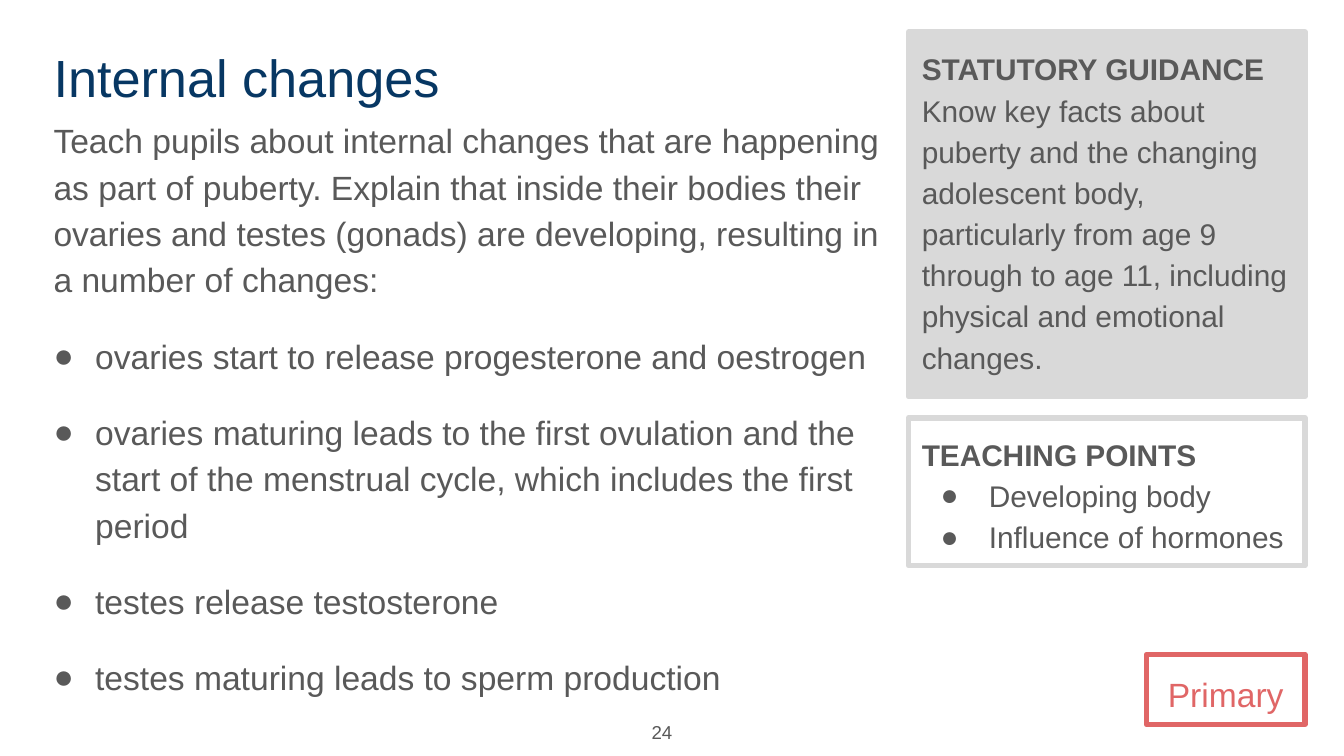
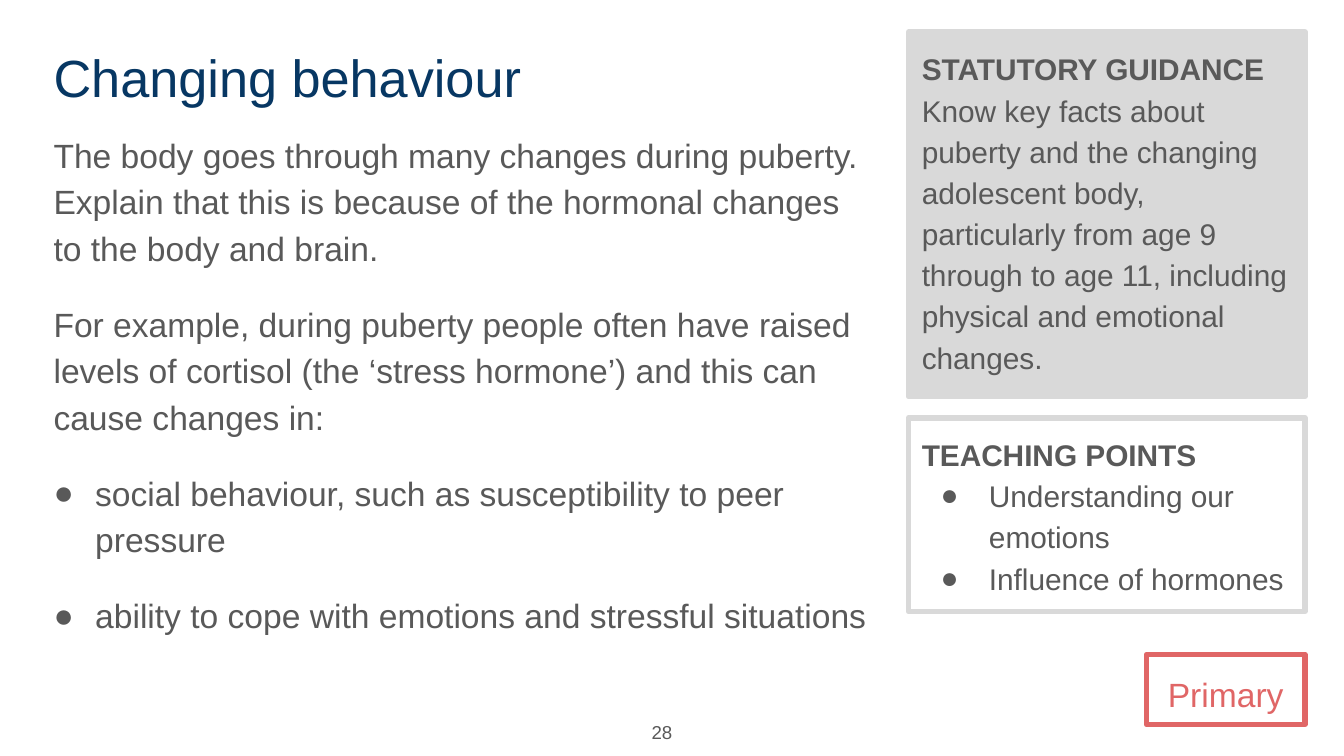
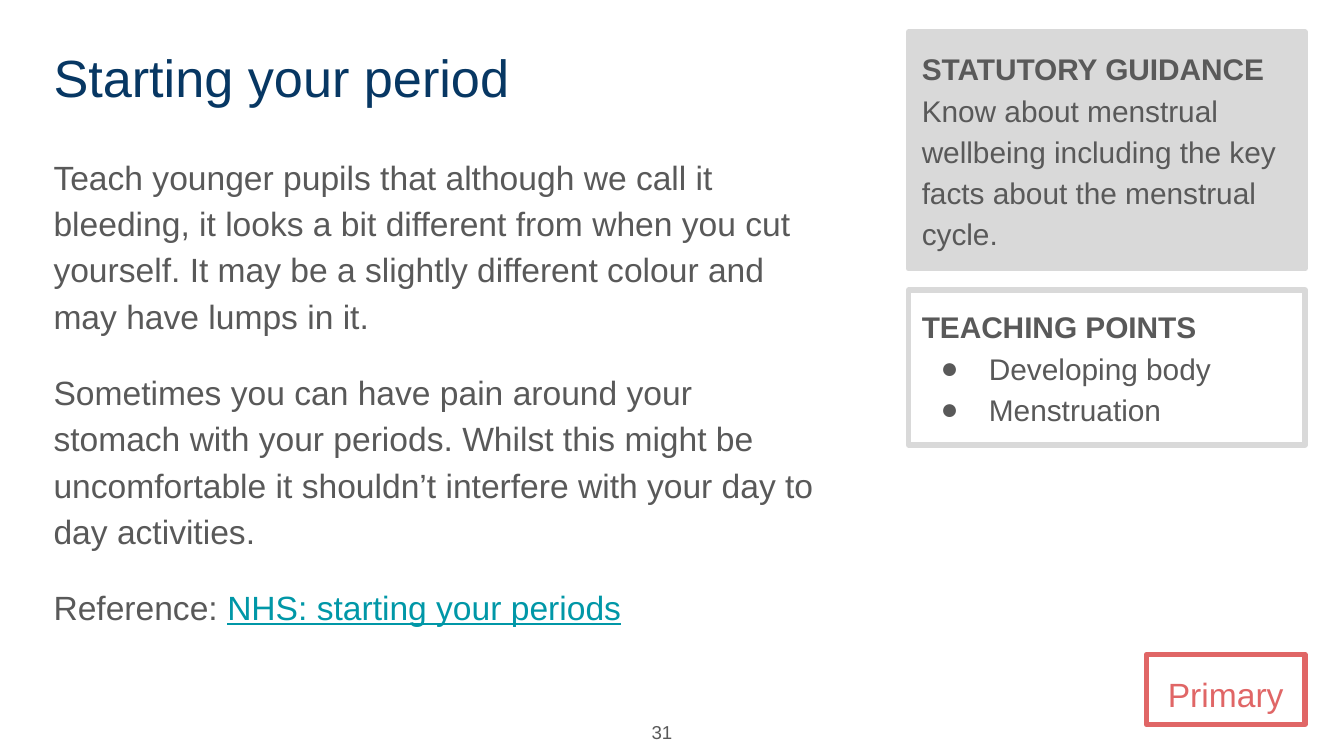
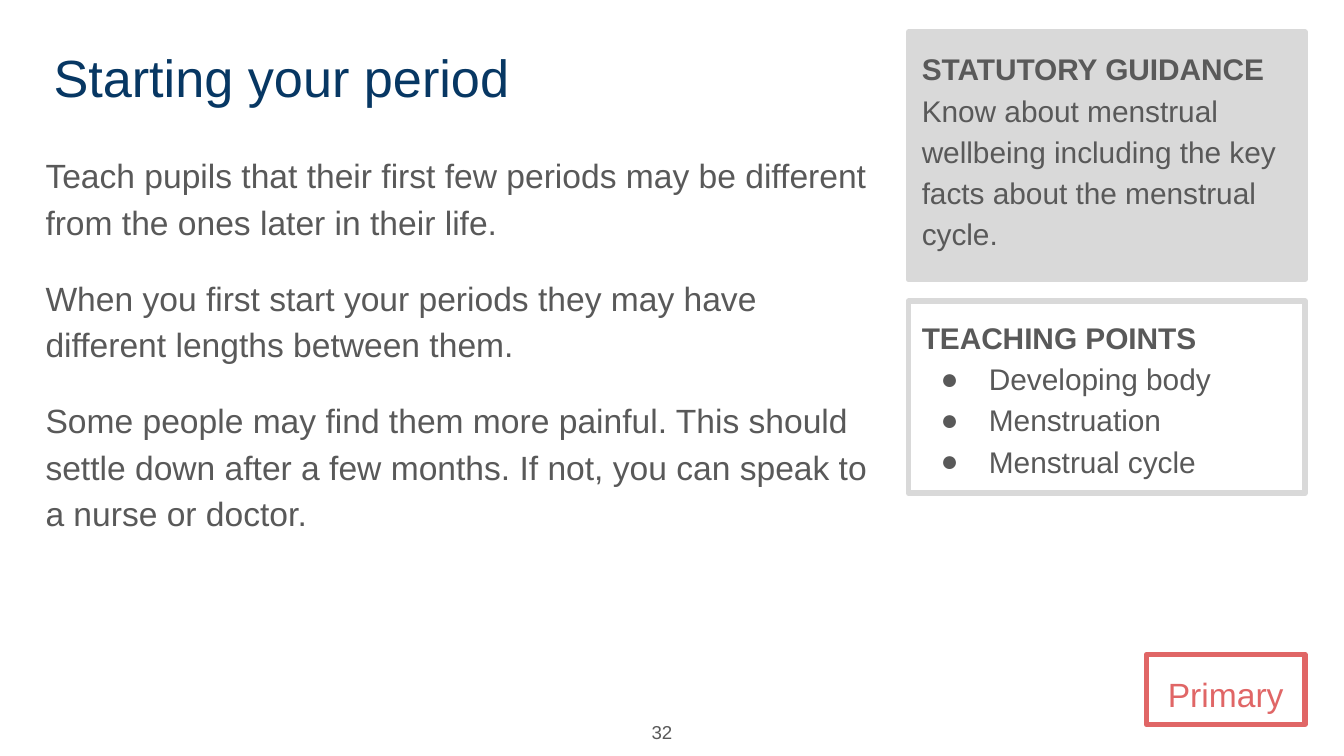
from lxml.etree import SubElement
from pptx import Presentation
from pptx.dml.color import RGBColor
from pptx.enum.shapes import MSO_SHAPE
from pptx.enum.text import MSO_ANCHOR, PP_ALIGN
from pptx.oxml.ns import qn
from pptx.util import Inches, Pt

# Content: body paragraphs are lists of (text, style) runs or plain strings;
# a leading bullet mark makes a list item
BULLET = "●"
PUBERTY = ("Know key facts about puberty and the changing adolescent body, "
           "particularly from age 9 through to age 11, including physical "
           "and emotional changes.")
MENSTRUAL = ("Know about menstrual wellbeing including the key facts about "
             "the menstrual cycle.")

SLIDES = [
    {"title": "Internal changes", "number": 24,
     "body_at": (0.3, 0.75, 6.41, 4.12),
     "body": [
         "Teach pupils about internal changes that are happening as part of "
         "puberty. Explain that inside their bodies their ovaries and testes "
         "(gonads) are developing, resulting in a number of changes:",
         "●ovaries start to release progesterone and oestrogen",
         "●ovaries maturing leads to the first ovulation and the start of "
         "the menstrual cycle, which includes the first period",
         "●testes release testosterone",
         "●testes maturing leads to sperm production"],
     "guidance": PUBERTY, "guidance_h": 2.71,
     "points": ["Developing body", "Influence of hormones"], "points_h": 1.1},
    {"title": "Changing behaviour", "number": 28,
     "body_at": (0.3, 0.86, 6.32, 3.59),
     "body": [
         "The body goes through many changes during puberty. Explain that "
         "this is because of the hormonal changes to the body and brain.",
         "For example, during puberty people often have raised levels of "
         "cortisol (the ‘stress hormone’) and this can cause changes in:",
         "●social behaviour, such as susceptibility to peer pressure",
         "●ability to cope with emotions and stressful situations"],
     "guidance": PUBERTY, "guidance_h": 2.71,
     "points": ["Understanding our emotions", "Influence of hormones"],
     "points_h": 1.44},
    {"title": "Starting your period", "number": 31,
     "body_at": (0.3, 1.02, 5.92, 3.59),
     "body": [
         "Teach younger pupils that although we call it bleeding, it looks a "
         "bit different from when you cut yourself. It may be a slightly "
         "different colour and may have lumps in it.",
         "Sometimes you can have pain around your stomach with your periods. "
         "Whilst this might be uncomfortable it shouldn’t interfere with "
         "your day to day activities.",
         [("Reference: ", {}),
          ("NHS: starting your periods",
           {"color": "link", "underline": True})]],
     "guidance": MENSTRUAL, "guidance_h": 1.76,
     "points": ["Developing body", "Menstruation"], "points_h": 1.15},
    {"title": "Starting your period", "number": 32,
     "body_at": (0.24, 1.01, 6.32, 3.3),
     "body": [
         "Teach pupils that their first few periods may be different from "
         "the ones later in their life.",
         "When you first start your periods they may have different lengths "
         "between them.",
         "Some people may find them more painful. This should settle down "
         "after a few months. If not, you can speak to a nurse or doctor."],
     "guidance": MENSTRUAL, "guidance_h": 1.84,
     "points": ["Developing body", "Menstruation", "Menstrual cycle"],
     "points_h": 1.43},
]

# Shared style
COLORS = {"title": "073763", "text": "595959", "panel": "D9D9D9",
          "phase": "E06666", "link": "0097A7"}
FONT = "Arial"
TOP = 0.24
PANEL_X, PANEL_W, PANEL_GAP = 6.76, 2.95, 0.16
TITLE_AT = (0.3, TOP, 6.41, 0.63)
NUMBER_AT = (4.71, 5.26, 0.39, 0.37)
PHASE_AT = (8.53, 4.87, 1.18, 0.52)


def rgb(name):
    return RGBColor.from_string(COLORS[name])


def set_frame(sp, anchor=MSO_ANCHOR.TOP):
    tf = sp.text_frame
    tf.word_wrap = True
    tf.vertical_anchor = anchor
    tf.margin_left = tf.margin_right = Inches(0.1)
    tf.margin_top = tf.margin_bottom = Inches(0.1)
    return tf


def add_text(slide, at, anchor=MSO_ANCHOR.TOP):
    return set_frame(slide.shapes.add_textbox(*map(Inches, at)), anchor)


def add_box(slide, at, line, fill=None):
    sp = slide.shapes.add_shape(MSO_SHAPE.RECTANGLE, *map(Inches, at))
    sp.shadow.inherit = False
    sp.line.color.rgb = rgb(line)
    sp.line.width = Pt(3)
    if fill:
        sp.fill.solid()
        sp.fill.fore_color.rgb = rgb(fill)
    else:
        sp.fill.background()
    return set_frame(sp)


def add_paragraph(tf, first=False, align=PP_ALIGN.LEFT, spacing=1.15,
                  before=0, bullet=None):
    p = tf.paragraphs[0] if first else tf.add_paragraph()
    p.alignment = align
    p.line_spacing = spacing
    p.space_before = Pt(before)
    if bullet:
        left, hanging = bullet
        pPr = p._p.get_or_add_pPr()
        pPr.set("marL", str(Inches(left)))
        pPr.set("indent", str(-Inches(hanging)))
        SubElement(pPr, qn("a:buFont"), typeface=FONT)
        SubElement(pPr, qn("a:buChar"), char=BULLET)
    return p


def add_run(p, text, size, color="text", bold=False, underline=None):
    r = p.add_run()
    r.text = text
    r.font.name = FONT
    r.font.size = Pt(size)
    r.font.bold = bold
    r.font.underline = underline
    r.font.color.rgb = rgb(color)


def add_body(slide, at, paragraphs):
    tf = add_text(slide, at)
    for i, content in enumerate(paragraphs):
        runs = [(content, {})] if isinstance(content, str) else content
        is_item = runs[0][0].startswith(BULLET)
        p = add_paragraph(tf, i == 0, before=16,
                          bullet=(0.31, 0.31) if is_item else None)
        for text, style in runs:
            add_run(p, text.lstrip(BULLET), 18, **style)


def add_panels(slide, guidance, guidance_h, points, points_h):
    # Statutory guidance
    tf = add_box(slide, (PANEL_X, TOP, PANEL_W, guidance_h), "panel", "panel")
    p = add_paragraph(tf, first=True)
    add_run(p, "STATUTORY GUIDANCE", 16, bold=True)
    p.add_line_break()
    add_run(p, guidance, 16)

    # Teaching points, below the guidance
    y = TOP + guidance_h + PANEL_GAP
    tf = add_box(slide, (PANEL_X, y, PANEL_W, points_h), "panel")
    add_run(add_paragraph(tf, first=True), "TEACHING POINTS", 16, bold=True)
    for point in points:
        add_run(add_paragraph(tf, bullet=(0.5, 0.36)), point, 16)


def add_footer(slide, number):
    tf = add_text(slide, NUMBER_AT, MSO_ANCHOR.MIDDLE)
    p = add_paragraph(tf, True, PP_ALIGN.RIGHT, spacing=1.0)
    add_run(p, str(number), 10)
    tf = add_box(slide, PHASE_AT, "phase")
    add_run(add_paragraph(tf, True, PP_ALIGN.CENTER), "Primary", 18, "phase")


def main():
    prs = Presentation()
    # Widescreen, 16:9
    prs.slide_width = Inches(10)
    prs.slide_height = prs.slide_width * 9 // 16
    for s in SLIDES:
        slide = prs.slides.add_slide(prs.slide_layouts[6])
        p = add_paragraph(add_text(slide, TITLE_AT), True, spacing=1.0)
        add_run(p, s["title"], 28, "title")
        add_body(slide, s["body_at"], s["body"])
        add_panels(slide, s["guidance"], s["guidance_h"],
                   s["points"], s["points_h"])
        add_footer(slide, s["number"])
    prs.save("out.pptx")


if __name__ == "__main__":
    main()
